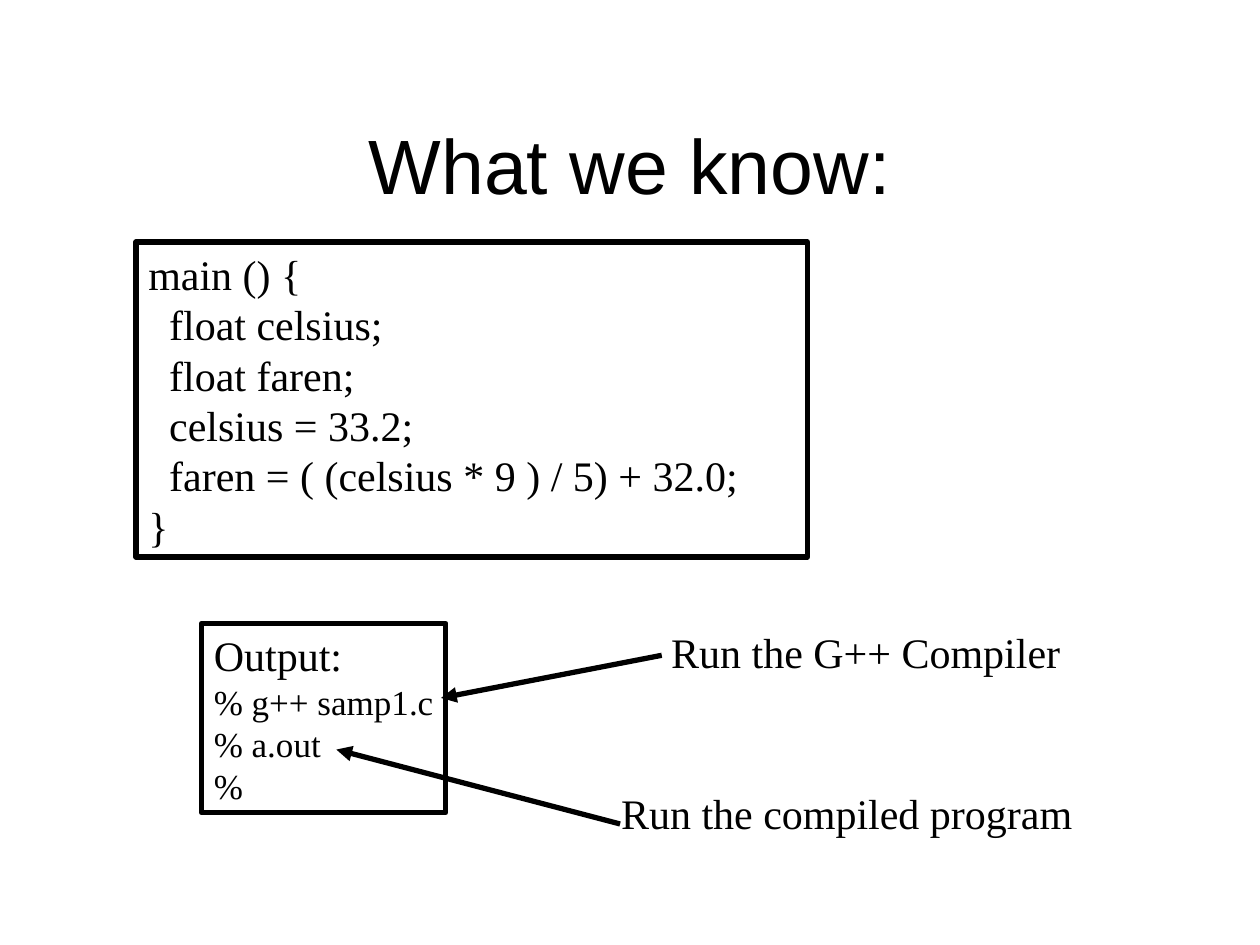
from dataclasses import dataclass

from lxml import etree
from pptx import Presentation
from pptx import util as u
from pptx.dml.color import RGBColor
from pptx.enum import shapes, text
from pptx.oxml import ns


@dataclass(frozen=True)
class Theme:
    """Colours, fonts and sizes of the slide."""
    ink: RGBColor = RGBColor(0, 0, 0)
    heading_font: str = "Arial"
    body_font: str = "Times New Roman"
    heading: int = 44
    body: int = 24
    command: int = 20
    stroke: int = 3
    leading: float = 1.2


THEME = Theme()

PROGRAM = [
    "main () {",
    "  float celsius;",
    "  float faren;",
    "  celsius = 33.2;",
    "  faren = ( (celsius * 9 ) / 5) + 32.0;",
    "}",
]
COMMANDS = ["% g++ samp1.c", "% a.out", "%"]


def cm(*lengths):
    """Convert numbers to centimetre lengths."""
    return [u.Cm(length) for length in lengths]


def style_run(run, font, size):
    """Give a run its typeface, size and colour."""
    run.font.name = font
    run.font.size = u.Pt(size)
    run.font.color.rgb = THEME.ink


def write_lines(frame, lines, sizes, wrap):
    """Fill a frame with left-aligned body lines, one size per line."""
    frame.text = "\n".join(lines)
    frame.word_wrap = wrap
    frame.auto_size = text.MSO_AUTO_SIZE.SHAPE_TO_FIT_TEXT
    frame.vertical_anchor = text.MSO_ANCHOR.TOP
    for line, size in zip(frame.paragraphs, sizes):
        line.alignment = text.PP_ALIGN.LEFT
        line.line_spacing = u.Pt(size * THEME.leading)
        for run in line.runs:
            style_run(run, THEME.body_font, size)


def add_heading(slide, wording, place):
    """Place and format the title."""
    heading = slide.shapes.title
    heading.left, heading.top, heading.width, heading.height = cm(*place)
    frame = heading.text_frame
    frame.text = wording
    frame.auto_size = text.MSO_AUTO_SIZE.NONE
    frame.vertical_anchor = text.MSO_ANCHOR.MIDDLE
    frame.paragraphs[0].alignment = text.PP_ALIGN.CENTER
    style_run(frame.paragraphs[0].runs[0], THEME.heading_font, THEME.heading)


def add_listing(slide, lines, sizes, place, wrap):
    """Add an outlined box of code or terminal lines."""
    listing = slide.shapes.add_shape(shapes.MSO_SHAPE.RECTANGLE, *cm(*place))
    listing.shadow.inherit = False
    listing.fill.background()
    listing.line.color.rgb = THEME.ink
    listing.line.width = u.Pt(THEME.stroke)
    write_lines(listing.text_frame, lines, sizes, wrap)


def add_note(slide, wording, place):
    """Add a one-line note beside the output."""
    note = slide.shapes.add_textbox(*cm(*place))
    write_lines(note.text_frame, [wording], [THEME.body], False)


def add_arrow(slide, start, end):
    """Draw an arrow from a note to its command."""
    arrow = slide.shapes.add_connector(
        shapes.MSO_CONNECTOR.STRAIGHT, *cm(*start, *end))
    arrow.line.color.rgb = THEME.ink
    arrow.line.width = u.Pt(THEME.stroke)
    outline = arrow.line._get_or_add_ln()
    etree.SubElement(outline, ns.qn("a:tailEnd"), type="triangle")
    etree.SubElement(arrow._element.spPr, ns.qn("a:effectLst"))


def main():
    """Build the slide and save it."""
    deck = Presentation()
    deck.slide_width, deck.slide_height = cm(25.4, 19.05)
    slide = deck.slides.add_slide(deck.slide_layouts[5])

    add_heading(slide, "What we know:", (1.9, 1.7, 21.6, 3.18))
    add_listing(slide, PROGRAM, [THEME.body] * len(PROGRAM),
                (2.74, 4.88, 13.54, 6.35), True)
    add_listing(slide, ["Output:", *COMMANDS],
                [THEME.body] + [THEME.command] * len(COMMANDS),
                (4.06, 12.57, 4.93, 3.81), False)

    add_note(slide, "Run the G++ Compiler", (13.28, 12.5, 8.36, 1.27))
    add_note(slide, "Run the compiled program", (12.27, 15.75, 9.6, 1.27))
    add_arrow(slide, (12.5, 16.61), (6.78, 15.11))
    add_arrow(slide, (13.34, 13.21), (8.89, 14.07))

    deck.save("out.pptx")


if __name__ == "__main__":
    main()
